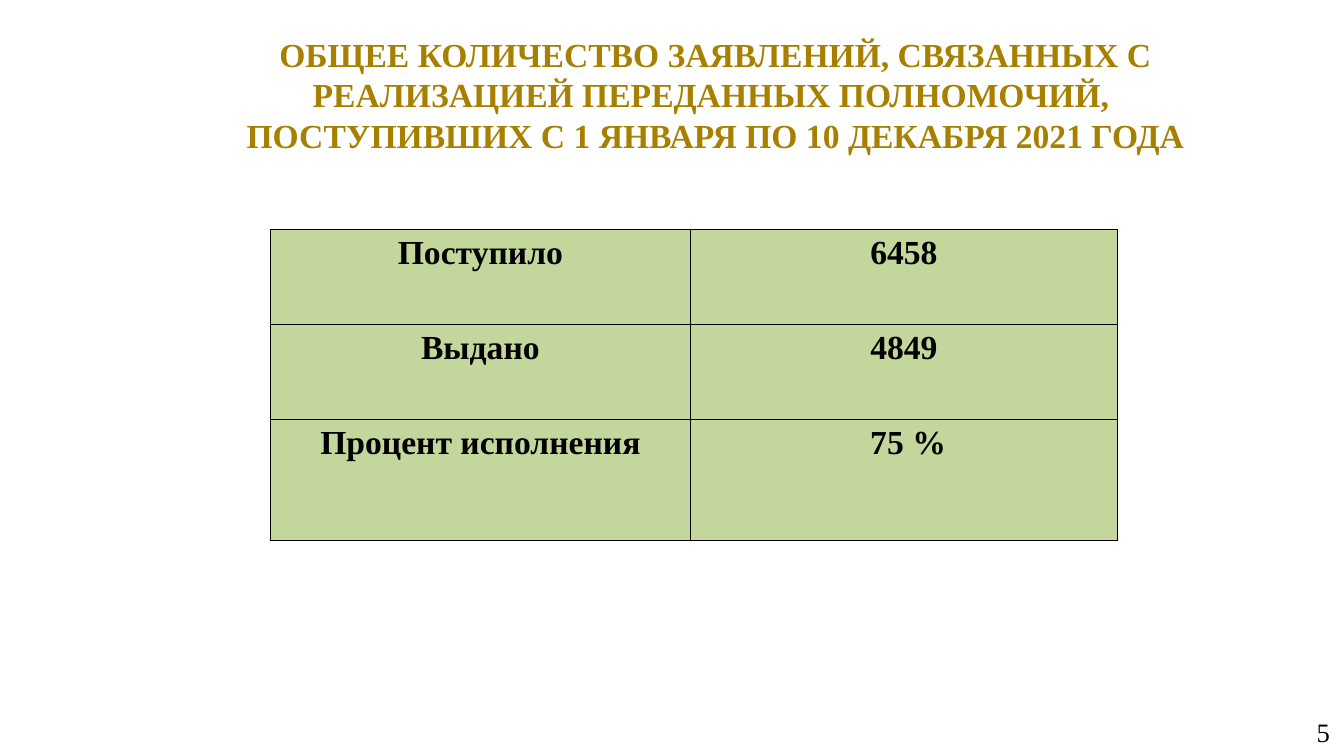
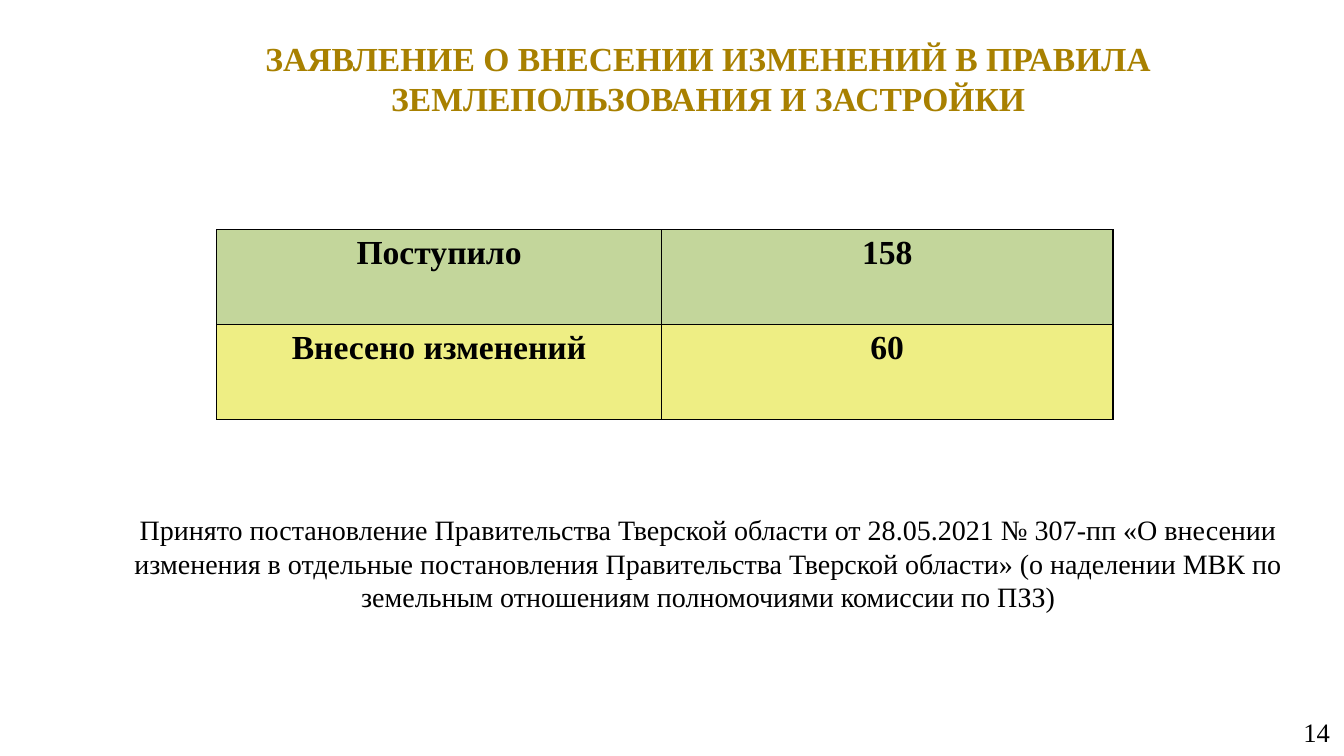
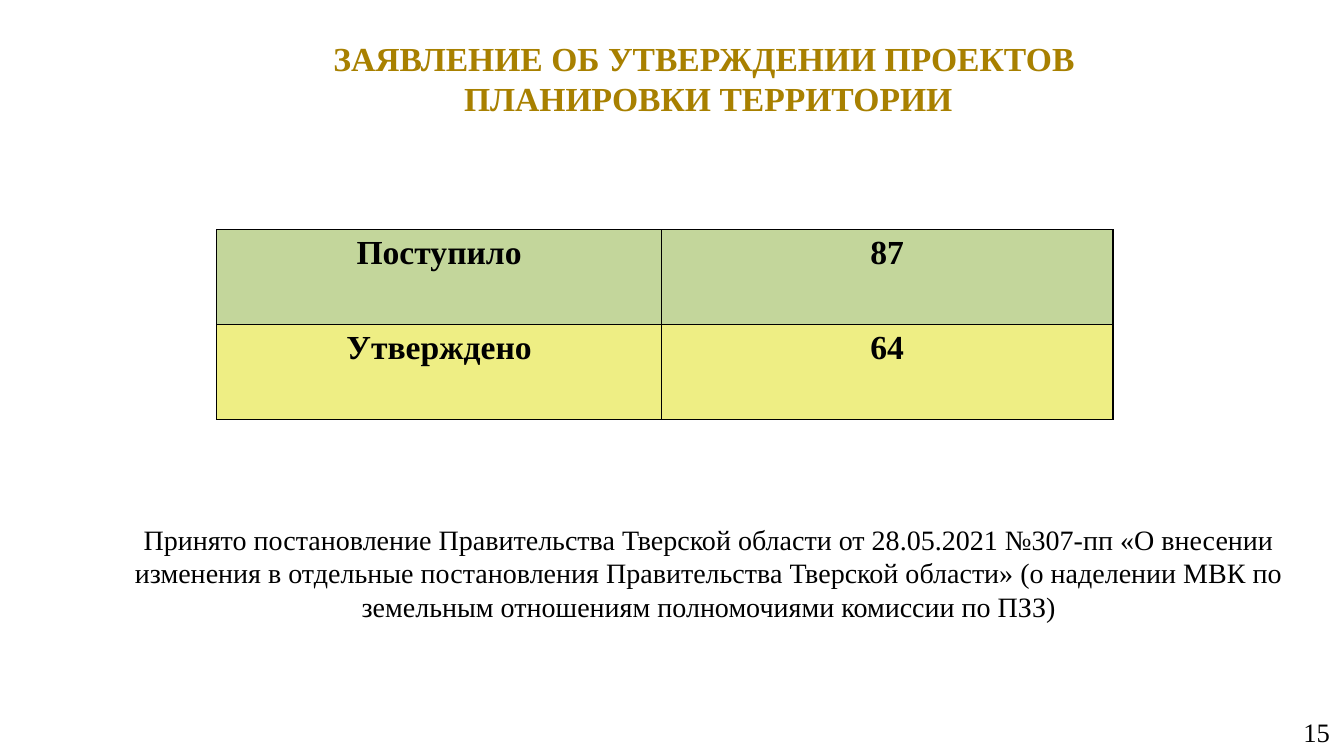
"""Build three slides on land-use applications, each with a title, a table and a page number."""

from dataclasses import dataclass

from lxml.etree import SubElement
from pptx import Presentation
from pptx.dml.color import RGBColor
from pptx.enum.text import MSO_ANCHOR, MSO_AUTO_SIZE, PP_ALIGN
from pptx.oxml.ns import qn
from pptx.util import Pt


@dataclass(frozen=True)
class Theme:
    font: str = "Times New Roman"
    gold: str = "A88000"
    black: str = "000000"
    green: str = "C3D69B"
    yellow: str = "EEEE84"
    heading_size: int = 24
    note_size: int = 20
    number_size: int = 19
    border_width: float = 0.96


THEME = Theme()
PX = 9144
SLIDE_SIZE = (1333, 750)
NUMBER_BOX = (1022, 707, 310, 39)
TITLE_BOX = (131, 28, 1143, 99)
TABLE_TOP = 228
ROW_HEIGHT = 94
SIDE_INSET, BOX_INSET, CELL_INSET = 13, 7, 5
PAIR_TABLE = {"left": 215, "columns": (441, 448), "rows": (ROW_HEIGHT, ROW_HEIGHT),
              "fills": (THEME.green, THEME.yellow)}
DECREE = ("Принято постановление Правительства Тверской области от 28.05.2021 {} «О внесении "
          "изменения в отдельные постановления Правительства Тверской области» (о наделении МВК "
          "по земельным отношениям полномочиями комиссии по ПЗЗ)")

SLIDES = [
    {
        "number": "5",
        "title": ["ОБЩЕЕ КОЛИЧЕСТВО ЗАЯВЛЕНИЙ, СВЯЗАННЫХ С РЕАЛИЗАЦИЕЙ ПЕРЕДАННЫХ ПОЛНОМОЧИЙ, ",
                  "ПОСТУПИВШИХ С 1 ЯНВАРЯ ПО 10 ДЕКАБРЯ 2021 ГОДА"],
        "title_box": (138, 30, 1143, 127),
        "table": {"left": 268, "columns": (417, 423), "rows": (ROW_HEIGHT, ROW_HEIGHT, 120),
                  "fills": (THEME.green,) * 3},
        "cells": [("Поступило", "6458"), ("Выдано", "4849"), ("Процент исполнения", " 75 %")],
    },
    {
        "number": "14",
        "title": ["ЗАЯВЛЕНИЕ О ВНЕСЕНИИ ИЗМЕНЕНИЙ В ПРАВИЛА ЗЕМЛЕПОЛЬЗОВАНИЯ И ЗАСТРОЙКИ"],
        "title_box": TITLE_BOX,
        "table": PAIR_TABLE,
        "cells": [("Поступило", "158"), ("Внесено изменений", "60")],
        "note": DECREE.format("№ 307-пп"),
        "note_box": (100, 470, 1205, 177),
    },
    {
        "number": "15",
        "title": ["ЗАЯВЛЕНИЕ ОБ УТВЕРЖДЕНИИ ПРОЕКТОВ ", "ПЛАНИРОВКИ ТЕРРИТОРИИ"],
        "title_box": TITLE_BOX,
        "table": PAIR_TABLE,
        "cells": [("Поступило", "87"), ("Утверждено", "64")],
        "note": DECREE.format("№307-пп"),
        "note_box": (108, 498, 1190, 140),
    },
]


def scaled(lengths):
    return [length * PX for length in lengths]


def set_insets(target, vertical):
    target.margin_left = target.margin_right = SIDE_INSET * PX
    target.margin_top = target.margin_bottom = vertical * PX


def write(frame, lines, size, color=THEME.black, bold=False, alignment=PP_ALIGN.CENTER):
    paragraph = frame.paragraphs[0]
    paragraph.alignment = alignment
    for index, line in enumerate(lines):
        if index:
            paragraph.add_line_break()
        run = paragraph.add_run()
        run.text = line
        run.font.name = THEME.font
        run.font.size = Pt(size)
        run.font.bold = bold
        run.font.color.rgb = RGBColor.from_string(color)


def prepare_frame(shape):
    frame = shape.text_frame
    frame.word_wrap = True
    frame.auto_size = MSO_AUTO_SIZE.NONE
    frame.vertical_anchor = MSO_ANCHOR.MIDDLE
    set_insets(frame, BOX_INSET)
    return frame


def add_title(slide, lines, box):
    title = slide.shapes.title
    title.left, title.top, title.width, title.height = scaled(box)
    write(prepare_frame(title), lines, THEME.heading_size, THEME.gold, bold=True)


def add_text(slide, text, box, size, alignment=PP_ALIGN.CENTER):
    shape = slide.shapes.add_textbox(*scaled(box))
    write(prepare_frame(shape), [text], size, alignment=alignment)


def set_borders(cell):
    properties = cell._tc.get_or_add_tcPr()
    for index, side in enumerate(("lnL", "lnR", "lnT", "lnB")):
        line = SubElement(properties, qn(f"a:{side}"), w=str(int(Pt(THEME.border_width))))
        fill = SubElement(line, qn("a:solidFill"))
        SubElement(fill, qn("a:srgbClr"), val=THEME.black)
        properties.insert(index, line)


def add_data_table(slide, layout, cells):
    columns, rows = layout["columns"], layout["rows"]
    box = (layout["left"], TABLE_TOP, sum(columns), sum(rows))
    table = slide.shapes.add_table(len(rows), len(columns), *scaled(box)).table
    table.first_row = table.horz_banding = False
    for column, width in zip(table.columns, scaled(columns)):
        column.width = width
    for row, height, color, texts in zip(table.rows, scaled(rows), layout["fills"], cells):
        row.height = height
        for cell, text in zip(row.cells, texts):
            set_insets(cell, CELL_INSET)
            cell.fill.solid()
            cell.fill.fore_color.rgb = RGBColor.from_string(color)
            set_borders(cell)
            write(cell.text_frame, [text], THEME.heading_size, bold=True)


def main():
    presentation = Presentation()
    presentation.slide_width, presentation.slide_height = scaled(SLIDE_SIZE)
    title_only = presentation.slide_layouts[5]
    for content in SLIDES:
        slide = presentation.slides.add_slide(title_only)
        add_title(slide, content["title"], content["title_box"])
        add_text(slide, content["number"], NUMBER_BOX, THEME.number_size, PP_ALIGN.RIGHT)
        add_data_table(slide, content["table"], content["cells"])
        if "note" in content:
            add_text(slide, content["note"], content["note_box"], THEME.note_size)
    presentation.save("out.pptx")


if __name__ == "__main__":
    main()
